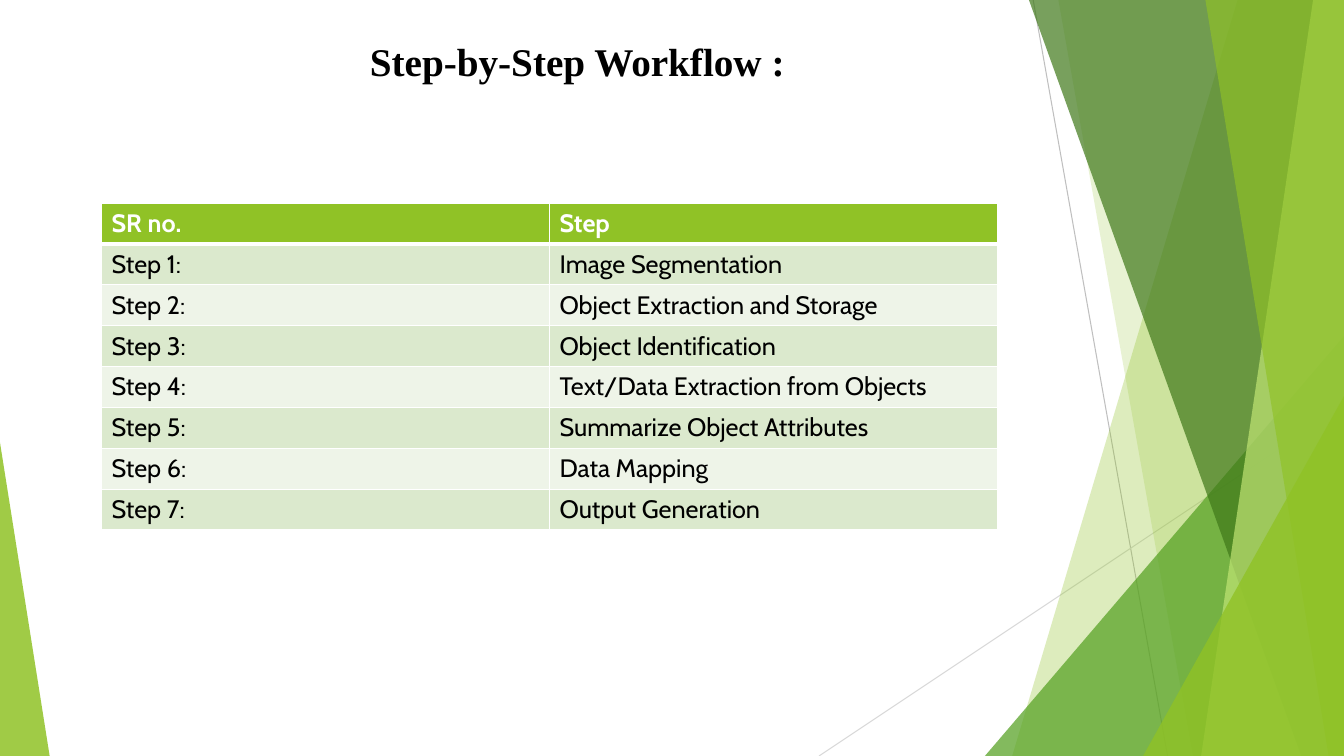
from lxml import etree
from pptx import Presentation
from pptx.dml.color import RGBColor
from pptx.enum.shapes import MSO_CONNECTOR, MSO_SHAPE
from pptx.enum.text import MSO_ANCHOR, PP_ALIGN
from pptx.oxml.ns import qn
from pptx.util import Pt

STRAIGHT = MSO_CONNECTOR.STRAIGHT
TRIANGLE = MSO_SHAPE.ISOSCELES_TRIANGLE
MIDDLE = MSO_ANCHOR.MIDDLE
LEFT = PP_ALIGN.LEFT

BLACK = RGBColor(0x00, 0x00, 0x00)
WHITE = RGBColor(0xFF, 0xFF, 0xFF)
LIME = RGBColor(0x90, 0xC2, 0x26)
LEAF = RGBColor(0x54, 0xA0, 0x21)
FOREST = RGBColor(0x3F, 0x78, 0x19)
PALE_LIME = RGBColor(0xC0, 0xE4, 0x74)
GRAY = RGBColor(0xBF, 0xBF, 0xBF)
LIGHT_GRAY = RGBColor(0xD9, 0xD9, 0xD9)
BAND_DARK = RGBColor(0xDB, 0xE9, 0xCD)
BAND_LIGHT = RGBColor(0xEE, 0xF4, 0xE8)

SLIDE_WIDTH, SLIDE_HEIGHT = 960, 540
STEPS = [
    "Image Segmentation",
    "Object Extraction and Storage",
    "Object Identification",
    "Text/Data Extraction from Objects",
    "Summarize Object Attributes",
    "Data Mapping",
    "Output Generation",
]


def style_facet(facet, color, opacity):
    facet.shadow.inherit = False
    facet.line.fill.background()
    facet.fill.solid()
    facet.fill.fore_color.rgb = color
    color_node = facet.fill._xPr.find(qn("a:solidFill"))[0]
    etree.SubElement(color_node, qn("a:alpha"), val=str(opacity * 1000))


def add_ray(slide, start, end, color):
    ray = slide.shapes.add_connector(STRAIGHT, *map(Pt, start + end))
    ray.line.color.rgb = color
    ray.line.width = Pt(0.75)
    etree.SubElement(ray._element.spPr, qn("a:effectLst"))


def add_panel(slide, box, top_x, bottom_x, color, opacity):
    left, top, width, height = box
    right, bottom = left + width, top + height
    outline = slide.shapes.build_freeform(Pt(left + top_x), Pt(top))
    corners = [(right, top), (right, bottom), (left + bottom_x, bottom)]
    outline.add_line_segments([(Pt(x), Pt(y)) for x, y in corners])
    style_facet(outline.convert_to_shape(), color, opacity)


def add_corner(slide, box, width, height, apex, color, opacity):
    left, top, box_width, box_height = box
    corner = slide.shapes.add_shape(
        TRIANGLE, Pt(left + apex * (box_width - width)),
        Pt(top + box_height - height), Pt(width), Pt(height))
    corner.adjustments[0] = apex
    style_facet(corner, color, opacity)


def add_facets(slide, box):
    left, top, width, height = box
    bottom = top + height
    add_ray(slide, (left + 738, top), (left + 834, bottom), GRAY)
    add_ray(slide, (left + width, top + 290), (left + 585, bottom), LIGHT_GRAY)
    add_panel(slide, box, 884, 723, LIME, 30)
    add_panel(slide, box, 756, 852, LIME, 20)
    add_corner(slide, box, 256.5, 300, 1, LEAF, 72)
    add_panel(slide, box, 735, 929.5, FOREST, 70)
    add_panel(slide, box, 938, 858, PALE_LIME, 70)
    add_panel(slide, box, 861, 949, LIME, 65)
    add_corner(slide, box, 143.5, 257, 1, LIME, 80)
    add_corner(slide, box, 35.5, 224, 0, LIME, 85)


def format_run(run, font_name, size, color, bold):
    run.font.name = font_name
    run.font.size = Pt(size)
    run.font.color.rgb = color
    run.font.bold = bold


def place_title(slide, box):
    title = slide.shapes.title
    title.left, title.top, title.width, title.height = map(Pt, box)
    title.text_frame.text = "Step-by-Step Workflow :"
    title.text_frame.word_wrap = True
    title.text_frame.vertical_anchor = MIDDLE
    heading = title.text_frame.paragraphs[0]
    heading.alignment = LEFT
    format_run(heading.runs[0], "Times New Roman", 28, BLACK, True)


def set_borders(cell, widths):
    properties = cell._tc.get_or_add_tcPr()
    for side, width in widths.items():
        border = etree.SubElement(properties, qn(f"a:ln{side}"), w=str(Pt(width)))
        fill = etree.SubElement(border, qn("a:solidFill"))
        etree.SubElement(fill, qn("a:srgbClr"), val=str(WHITE))


def add_workflow_table(slide, box):
    rows = [("SR no.", "Step")]
    rows += [(f"Step {number}:", step) for number, step in enumerate(STEPS, 1)]
    table = slide.shapes.add_table(len(rows), 2, *map(Pt, box)).table
    for r, labels in enumerate(rows):
        is_header = r == 0
        band = LIME if is_header else BAND_DARK if r % 2 else BAND_LIGHT
        for c, label in enumerate(labels):
            cell = table.cell(r, c)
            set_borders(cell, {"L": 1, "R": 1, "T": 3 if r == 1 else 1,
                               "B": 3 if is_header else 1})
            cell.fill.solid()
            cell.fill.fore_color.rgb = band
            cell.text_frame.text = label
            format_run(cell.text_frame.paragraphs[0].runs[0], "Cabin", 18,
                       WHITE if is_header else BLACK, is_header)


def build_workflow_slide(presentation):
    slide = presentation.slides.add_slide(presentation.slide_layouts[5])
    add_facets(slide, (0, 0, SLIDE_WIDTH, SLIDE_HEIGHT))
    place_title(slide, (257, 23, 480, 41))
    add_workflow_table(slide, (72.5, 145, 640, 233.6))


def main():
    presentation = Presentation()
    presentation.slide_width = Pt(SLIDE_WIDTH)
    presentation.slide_height = Pt(SLIDE_HEIGHT)
    build_workflow_slide(presentation)
    presentation.save("out.pptx")


if __name__ == "__main__":
    main()
